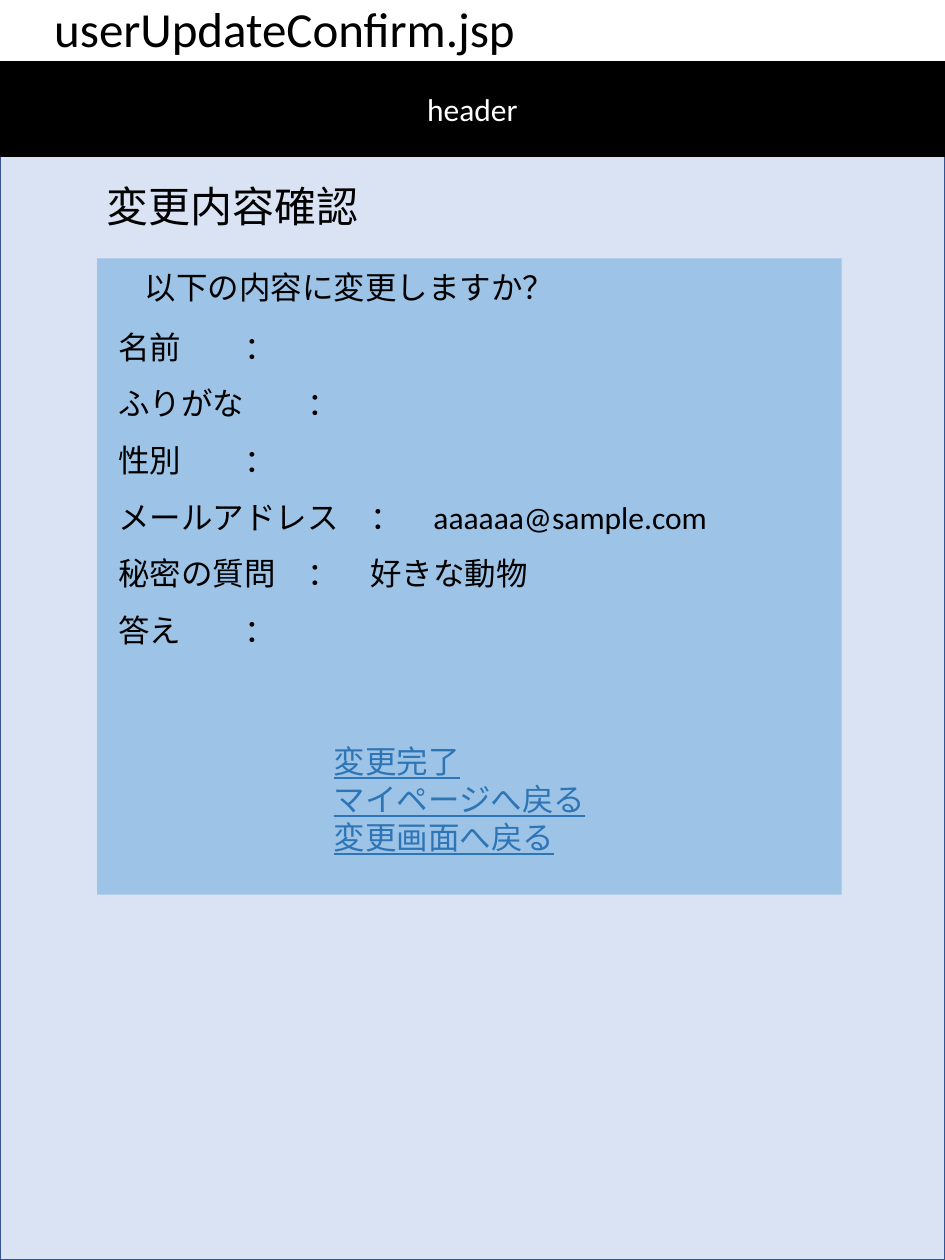
import pptx
import pptx.util
from lxml import etree
from pptx.dml.color import RGBColor
from pptx.enum.shapes import MSO_SHAPE
from pptx.enum.text import MSO_ANCHOR, MSO_AUTO_SIZE, PP_ALIGN
from pptx.oxml.ns import qn
from pptx.util import Inches

BLACK = RGBColor(0x00, 0x00, 0x00)
WHITE = RGBColor(0xFF, 0xFF, 0xFF)
PAGE_FILL = RGBColor(0xDA, 0xE3, 0xF3)
PAGE_LINE = RGBColor(0x32, 0x54, 0x91)
PANEL_FILL = RGBColor(0x9D, 0xC3, 0xE6)
LINK_BLUE = RGBColor(0x2E, 0x75, 0xB6)

FIELD_TABS = (2.25, 3)
FIELDS = [
    ("名前", ""),
    ("ふりがな", ""),
    ("性別", ""),
    ("メールアドレス", "aaaaaa@sample.com"),
    ("秘密の質問", "好きな動物"),
    ("答え", ""),
]
LINKS = ["変更完了", "マイページへ戻る", "変更画面へ戻る"]


class ScreenMockup:
    font = "Calibri"

    def __init__(self, slide):
        self.slide = slide

    def fill_text(self, frame, lines, size, color, align=PP_ALIGN.LEFT,
                  spacing=1.0, underline=False, tabs=()):
        for i, line in enumerate(lines):
            paragraph = frame.paragraphs[0] if i == 0 else frame.add_paragraph()
            properties = paragraph._p.get_or_add_pPr()
            properties.set("marL", "0")
            properties.set("indent", "0")
            etree.SubElement(properties, qn("a:buNone"))
            if tabs:
                tab_list = etree.SubElement(properties, qn("a:tabLst"))
                for stop in tabs:
                    etree.SubElement(tab_list, qn("a:tab"), pos=str(Inches(stop)), algn="l")
            paragraph.alignment = align
            paragraph.line_spacing = spacing
            paragraph.space_before = pptx.util.Pt(0)
            run = paragraph.add_run()
            run.text = line
            run.font.name = self.font
            run.font.size = pptx.util.Pt(size)
            run.font.color.rgb = color
            if underline:
                run.font.underline = True

    def block(self, left, top, width, height, fill, line=None):
        shape = self.slide.shapes.add_shape(
            MSO_SHAPE.RECTANGLE, Inches(left), Inches(top), Inches(width), Inches(height))
        shape.shadow.inherit = False
        shape.fill.solid()
        shape.fill.fore_color.rgb = fill
        if line is None:
            shape.line.fill.background()
        else:
            shape.line.color.rgb = line
            shape.line.width = pptx.util.Pt(1)
        return shape

    def text(self, left, top, width, height, lines, size, color=BLACK, **style):
        box = self.slide.shapes.add_textbox(
            Inches(left), Inches(top), Inches(width), Inches(height))
        box.text_frame.word_wrap = True
        self.fill_text(box.text_frame, lines, size, color, **style)

    def placeholder(self, holder, left, top, width, height, lines, size, **style):
        holder.left, holder.top = Inches(left), Inches(top)
        holder.width, holder.height = Inches(width), Inches(height)
        frame = holder.text_frame
        frame.word_wrap = True
        frame.auto_size = MSO_AUTO_SIZE.NONE
        frame.vertical_anchor = MSO_ANCHOR.TOP
        self.fill_text(frame, lines, size, BLACK, **style)
        # Bring the placeholder in front of the blocks
        holder.element.getparent().append(holder.element)


def main():
    deck = pptx.Presentation()
    deck.slide_width, deck.slide_height = Inches(7.5), Inches(10)
    slide = deck.slides.add_slide(deck.slide_layouts[1])
    mockup = ScreenMockup(slide)

    # Page, panel and header bar
    mockup.block(0, 0.73, 7.5, 9.27, PAGE_FILL, PAGE_LINE)
    mockup.block(0.77, 2.05, 5.91, 5.05, PANEL_FILL)
    header = mockup.block(0, 0.49, 7.5, 0.75, BLACK, BLACK)
    header.text_frame.vertical_anchor = MSO_ANCHOR.MIDDLE
    mockup.fill_text(header.text_frame, ["header"], 18, WHITE, align=PP_ALIGN.CENTER)

    # File name and user details
    mockup.placeholder(slide.shapes.title, 0.33, -0.06, 5.13, 0.57,
                       ["userUpdateConfirm.jsp"], 28)
    details = [f"{label}\t：\t{value}" if value else f"{label}\t："
               for label, value in FIELDS]
    mockup.placeholder(slide.placeholders[1], 0.84, 2.4, 5.78, 2.78,
                       details, 18, spacing=1.5, tabs=FIELD_TABS)

    # Heading, question and links
    mockup.text(0.75, 1.38, 4.63, 0.5, ["変更内容確認"], 24)
    mockup.text(1.05, 2.08, 3.5, 0.4, ["以下の内容に変更しますか？"], 18)
    mockup.text(2.55, 5.84, 2.39, 1.01, LINKS, 18, LINK_BLUE, underline=True)

    deck.save("out.pptx")


if __name__ == "__main__":
    main()
